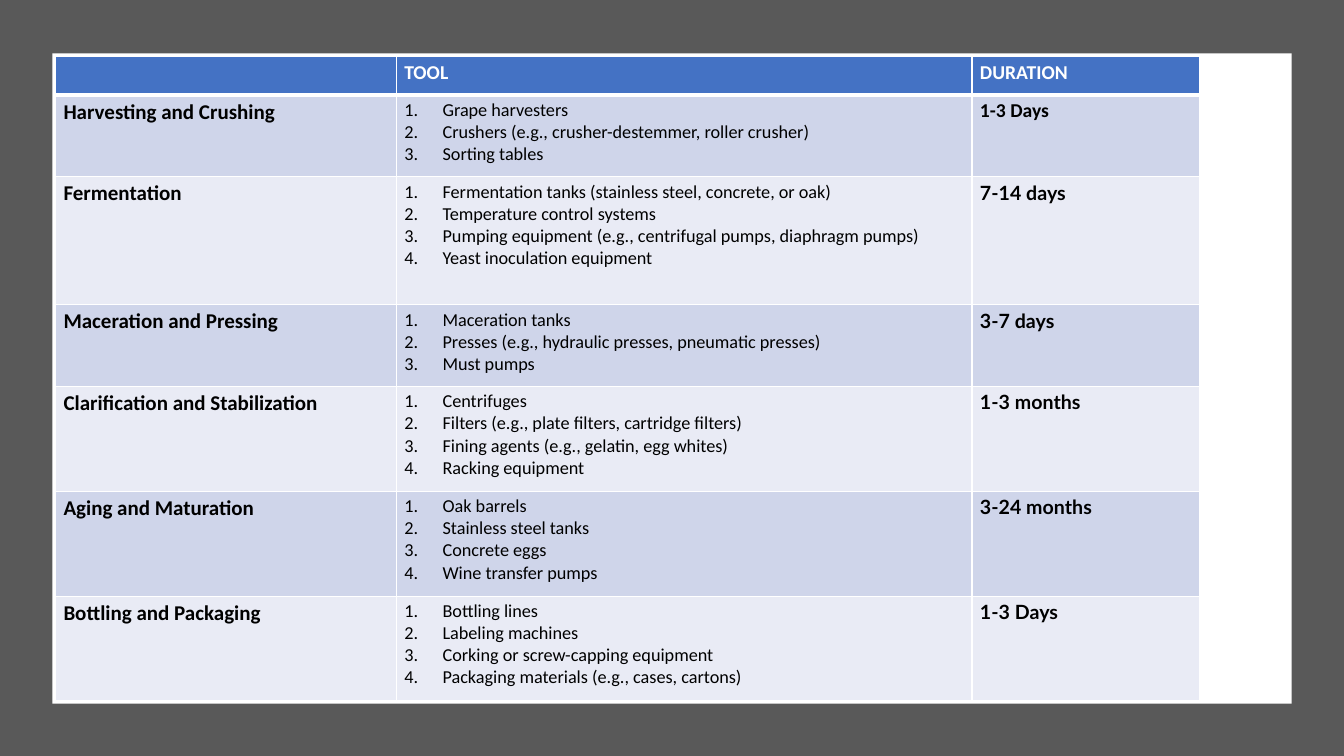
from typing import NamedTuple

from lxml import etree
from pptx import Presentation
from pptx import util as u
from pptx.dml import color
from pptx.enum import shapes
from pptx.oxml import ns

HUES = {
    "frame": "595959",
    "white": "FFFFFF",
    "head": "4472C4",
    "odd": "CFD5EA",
    "even": "E9EBF5",
    "ink": "000000",
}


class Panel(NamedTuple):
    left: float
    top: float
    width: float
    height: float
    hue: str


class Stage(NamedTuple):
    name: str
    tools: list[str]
    time: str
    height: float
    font: str = "Lato"


class Style(NamedTuple):
    size: float
    bold: bool = True
    font: str = "Calibri"
    hue: str = "ink"
    listed: bool = False


PANELS = [
    Panel(0, 0, 13.33, 7.5, "frame"),
    Panel(0.52, 0.53, 12.29, 6.45, "white"),
]
HEADS = ["", "TOOL", "DURATION"]
WIDTHS = [3.38, 5.71, 2.26]
HEAD_HIGH = 0.37
STAGES = [
    Stage("Harvesting and Crushing",
          ["Grape harvesters",
           "Crushers (e.g., crusher-destemmer, roller crusher)",
           "Sorting tables"],
          "1-3 Days", 0.81, "Calibri"),
    Stage("Fermentation",
          ["Fermentation tanks (stainless steel, concrete, or oak)",
           "Temperature control systems",
           "Pumping equipment (e.g., centrifugal pumps, diaphragm pumps)",
           "Yeast inoculation equipment"],
          "7-14 days", 1.27),
    Stage("Maceration and Pressing",
          ["Maceration tanks",
           "Presses (e.g., hydraulic presses, pneumatic presses)",
           "Must pumps"],
          "3-7 days", 0.81),
    Stage("Clarification and Stabilization",
          ["Centrifuges",
           "Filters (e.g., plate filters, cartridge filters)",
           "Fining agents (e.g., gelatin, egg whites)",
           "Racking equipment"],
          "1-3 months", 1.04),
    Stage("Aging and Maturation",
          ["Oak barrels", "Stainless steel tanks", "Concrete eggs",
           "Wine transfer pumps"],
          "3-24 months", 1.04),
    Stage("Bottling and Packaging",
          ["Bottling lines", "Labeling machines",
           "Corking or screw-capping equipment",
           "Packaging materials (e.g., cases, cartons)"],
          "1-3 Days", 1.04),
]
HEAD = Style(14, hue="white")
NAME = Style(15)
TOOL = Style(13, bold=False, listed=True)


def rgb(hue: str) -> color.RGBColor:
    return color.RGBColor.from_string(HUES[hue])


def draw_panel(slide, panel: Panel) -> None:
    box = slide.shapes.add_shape(
        shapes.MSO_SHAPE.RECTANGLE, u.Inches(panel.left), u.Inches(panel.top),
        u.Inches(panel.width), u.Inches(panel.height))
    box.shadow.inherit = False
    box.fill.solid()
    box.fill.fore_color.rgb = rgb(panel.hue)
    box.line.fill.background()


def add_number(para) -> None:
    props = para._p.get_or_add_pPr()
    indent = u.Inches(0.38)
    props.set("marL", str(indent))
    props.set("indent", str(-indent))
    etree.SubElement(props, ns.qn("a:buFont"), typeface="+mj-lt")
    etree.SubElement(props, ns.qn("a:buAutoNum"), type="arabicPeriod")


def draw_edges(cell, row: int) -> None:
    """Rule the cell in white, with a thick line below the header row."""
    props = cell._tc.get_or_add_tcPr()
    points = {"L": 1, "R": 1, "T": 3 if row == 1 else 1, "B": 3 if row == 0 else 1}
    for side, width in points.items():
        line = etree.SubElement(props, ns.qn(f"a:ln{side}"), w=str(u.Pt(width)))
        fill = etree.SubElement(line, ns.qn("a:solidFill"))
        etree.SubElement(fill, ns.qn("a:srgbClr"), val=HUES["white"])


def fill_cell(cell, lines: list[str], style: Style, row: int) -> None:
    draw_edges(cell, row)
    cell.fill.solid()
    cell.fill.fore_color.rgb = rgb("head" if row == 0 else "odd" if row % 2 else "even")
    cell.margin_left = cell.margin_right = u.Inches(0.08)
    cell.margin_top = cell.margin_bottom = u.Inches(0.04)
    cell.text_frame.text = "\n".join(lines)
    for para in cell.text_frame.paragraphs:
        if style.listed:
            add_number(para)
        for run in para.runs:
            run.font.name = style.font
            run.font.size = u.Pt(style.size)
            run.font.bold = style.bold
            run.font.color.rgb = rgb(style.hue)


def draw_table(slide) -> None:
    highs = [HEAD_HIGH] + [stage.height for stage in STAGES]
    table = slide.shapes.add_table(
        len(highs), len(WIDTHS), u.Inches(0.55), u.Inches(0.56),
        u.Inches(sum(WIDTHS)), u.Inches(sum(highs))).table
    for col, width in zip(table.columns, WIDTHS):
        col.width = u.Inches(width)
    for row, high in zip(table.rows, highs):
        row.height = u.Inches(high)
    for col, head in enumerate(HEADS):
        fill_cell(table.cell(0, col), [head], HEAD, 0)
    for row, stage in enumerate(STAGES, 1):
        fill_cell(table.cell(row, 0), [stage.name], NAME, row)
        fill_cell(table.cell(row, 1), stage.tools, TOOL, row)
        fill_cell(table.cell(row, 2), [stage.time], Style(14, font=stage.font), row)


def main() -> None:
    deck = Presentation()
    deck.slide_width = u.Inches(13.33)
    deck.slide_height = u.Inches(7.5)
    slide = deck.slides.add_slide(deck.slide_layouts[6])
    for panel in PANELS:
        draw_panel(slide, panel)
    draw_table(slide)
    deck.save("out.pptx")


if __name__ == "__main__":
    main()
